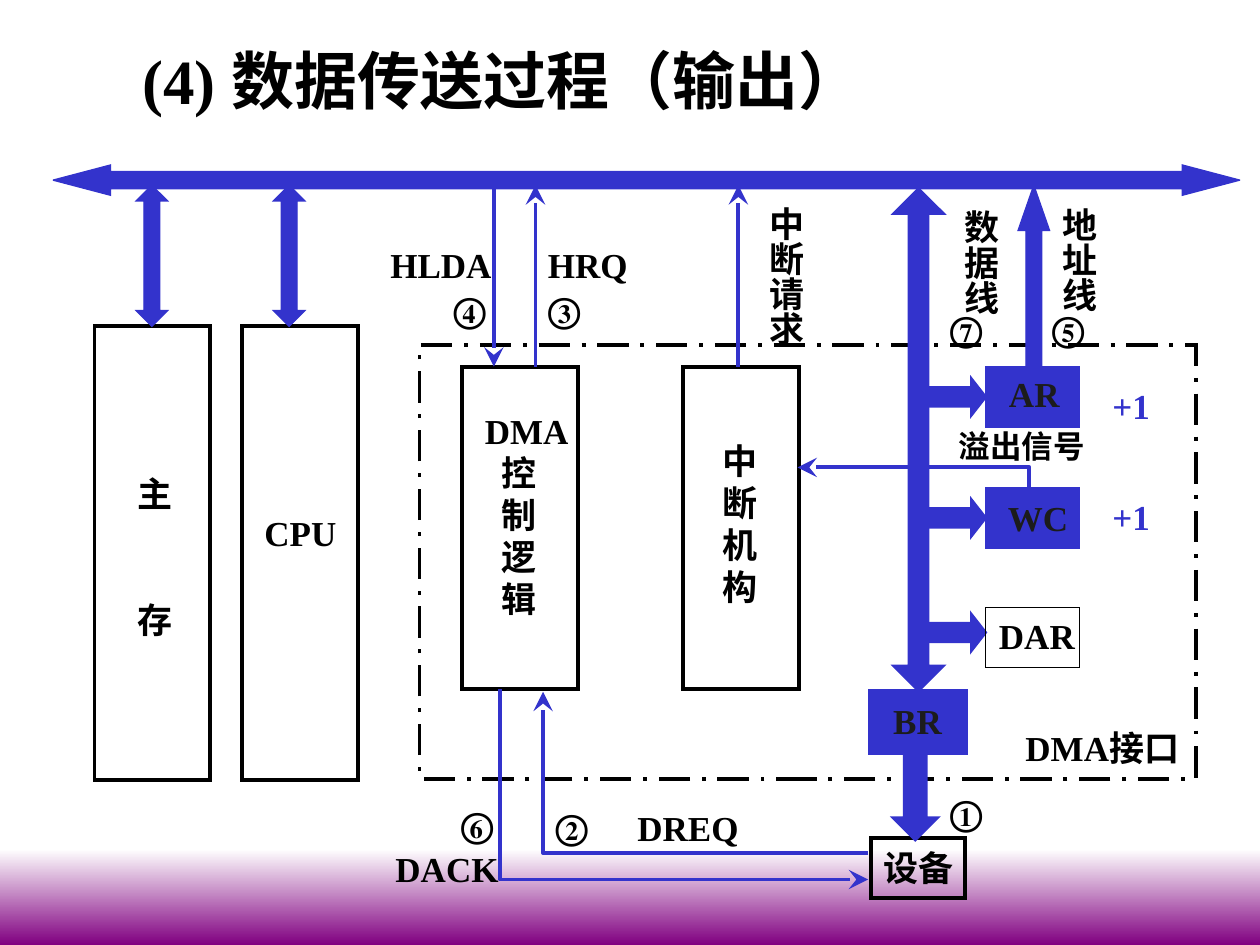
from lxml import etree
from pptx import Presentation
from pptx.dml.color import RGBColor
from pptx.enum.dml import MSO_LINE
from pptx.enum.shapes import MSO_CONNECTOR, MSO_SHAPE
from pptx.enum.text import MSO_AUTO_SIZE
from pptx.oxml.ns import qn
from pptx.util import Inches, Pt

RECT = MSO_SHAPE.RECTANGLE
RIGHT = MSO_SHAPE.RIGHT_ARROW
UP = MSO_SHAPE.UP_ARROW
DOWN = MSO_SHAPE.DOWN_ARROW
WIDE = MSO_SHAPE.LEFT_RIGHT_ARROW
TALL = MSO_SHAPE.UP_DOWN_ARROW
STRAIGHT = MSO_CONNECTOR.STRAIGHT
DASH = MSO_LINE.LONG_DASH_DOT
FIXED = MSO_AUTO_SIZE.NONE

FONT = "Times New Roman"
BLACK, BLUE, DARK = "000000", "3333CC", "1C1C1C"
WHITE, PURPLE = "FFFFFF", "800080"


def rgb(value):
    return RGBColor.from_string(value)


def text(slide, x, y, w, h, words, size=20, color=BLACK,
         stacked=False, indent=0, gap=0):
    box = slide.shapes.add_textbox(Inches(x), Inches(y), Inches(w), Inches(h))
    frame = box.text_frame
    frame.word_wrap = True
    frame.auto_size = FIXED
    frame.margin_left = Inches(0.05 if stacked else 0.1)
    frame.margin_right = Inches(0.05 if stacked else 0)
    frame.margin_top = Inches(0.05)
    frame.margin_bottom = Inches(0)
    if stacked:
        frame._txBody.bodyPr.set("vert", "eaVert")
    frame.text = words
    for i, para in enumerate(frame.paragraphs):
        if indent and not para.text.isascii():
            para._p.get_or_add_pPr().set("marL", str(Inches(indent)))
        if gap and i:
            para.space_before = Pt(gap)
        for run in para.runs:
            run.font.name = FONT
            run.font.size = Pt(size)
            run.font.bold = True
            run.font.color.rgb = rgb(color)


def shape(slide, kind, x, y, w, h, fill=None, line=BLACK, width=2.25, adjust=()):
    item = slide.shapes.add_shape(kind, Inches(x), Inches(y), Inches(w), Inches(h))
    item.shadow.inherit = False
    if fill:
        item.fill.solid()
        item.fill.fore_color.rgb = rgb(fill)
    else:
        item.fill.background()
    item.line.color.rgb = rgb(line)
    item.line.width = Pt(width)
    etree.SubElement(item.line._get_or_add_ln(), qn("a:miter"), lim="800000")
    for i, value in enumerate(adjust):
        item.adjustments[i] = value
    return item


def arrow(slide, kind, x, y, w, h, adjust=(), width=0.75):
    shape(slide, kind, x, y, w, h, BLUE, BLUE, width, adjust)


def tip(item):
    item.line.color.rgb = rgb(BLUE)
    item.line.width = Pt(2.25)
    etree.SubElement(item.line._get_or_add_ln(), qn("a:tailEnd"),
                     type="stealth", w="lg", len="lg")


def link(slide, x, start, end):
    item = slide.shapes.add_connector(
        STRAIGHT, Inches(x), Inches(start), Inches(x), Inches(end))
    tip(item)
    etree.SubElement(item._element.spPr, qn("a:effectLst"))


def bend(slide, *points):
    spots = [(Inches(x), Inches(y)) for x, y in points]
    path = slide.shapes.build_freeform(*spots[0])
    path.add_line_segments(spots[1:], close=False)
    item = path.convert_to_shape()
    item.shadow.inherit = False
    item.fill.background()
    tip(item)


def mark(slide, x, y, sign):
    text(slide, x, y, 0.48, 0.44, sign)


def band(slide, x, y, w, h):
    item = shape(slide, RECT, x, y, w, h)
    item.line.fill.background()
    item.fill.gradient()
    item.fill.gradient_angle = 270
    for stop, color in zip(item.fill.gradient_stops, (WHITE, PURPLE)):
        stop.color.rgb = rgb(color)


def block(slide, x, y, w, h, arm, label, left, top, wide, tall, gap=0):
    shape(slide, RECT, x, y, w, h)
    arrow(slide, TALL, x + arm, y - 1.12, 0.25, 1.12, (0.892, 0.5))
    text(slide, x + left, y + top, wide, tall, label, gap=gap)


def dma(slide, x, y, w, h):
    shape(slide, RECT, x, y, w, h).line.dash_style = DASH
    text(slide, x + 4.71, y + 2.98, 1.49, 0.44, "DMA接口")
    for left in (0.34, 2.09):
        shape(slide, RECT, x + left, y + 0.17, 0.92, 2.56)
    text(slide, x + 0.42, y + 0.46, 0.86, 1.77,
         "DMA\n控\n制\n逻\n辑", indent=0.13)
    text(slide, x + 2.18, y + 0.7, 0.6, 1.44, "中\n断\n机\n构", indent=0.13)

    arrow(slide, TALL, x + 3.75, y - 1.25, 0.42, 4, (0.696, 0.383))
    regs = (
        ("AR", 0.17, 0.25, 4.58, 0.17, 0.6, True),
        ("WC", 1.13, 1.21, 4.57, 1.15, 0.68, True),
        ("DAR", 2.08, 2.12, 4.5, 2.09, 0.8, False),
    )
    for name, top, feed, left, base, wide, full in regs:
        arrow(slide, RIGHT, x + 4, y + feed, 0.5, 0.32, (0.5, 0.391))
        shape(slide, RECT, x + 4.49, y + top, 0.75, 0.48,
              BLUE if full else None, BLUE if full else BLACK, 0.75)
        text(slide, x + left, y + base, wide, 0.44, name,
             color=DARK if full else BLACK)
    for top in (0.26, 1.14):
        text(slide, x + 5.4, y + top, 0.5, 0.44, "+1", color=BLUE)

    bend(slide, (x + 4.84, y + 1.13), (x + 4.84, y + 0.97), (x + 3, y + 0.97))
    text(slide, x + 4.18, y + 0.6, 1.2, 0.4, "溢出信号", size=18)
    shape(slide, RECT, x + 3.58, y + 2.75, 0.75, 0.48, BLUE, BLUE, 3)
    text(slide, x + 3.66, y + 2.76, 0.58, 0.44, "BR", color=DARK)


def signals(slide, x, y, w, h):
    link(slide, x + 0.92, y, y + h)
    for left in (1.25, 2.86):
        link(slide, x + left, y + h, y)
    arrow(slide, UP, x + 5.08, y, 0.25, h, (0.5, 1.439))
    text(slide, x, y + 0.41, 1, 0.44, "HLDA")
    text(slide, x + 1.25, y + 0.41, 0.83, 0.44, "HRQ")
    for words, left, top, tall in (("中断请求", 2.92, 0.07, 1.22),
                                   ("数据线", 4.47, 0.1, 0.94),
                                   ("地址线", 5.25, 0.08, 0.94)):
        text(slide, x + left, y + top, 0.53, tall, words, stacked=True)
    for sign, left, top in (("④", 0.5, 0.77), ("③", 1.25, 0.77),
                            ("⑦", 4.44, 0.92), ("⑤", 5.25, 0.92)):
        mark(slide, x + left, y + top, sign)


def device(slide, x, y, w, h):
    shape(slide, RECT, x + 3.87, y + 1.18, 0.75, 0.48)
    text(slide, x + 3.87, y + 1.2, 0.75, 0.44, "设备")
    arrow(slide, DOWN, x + 4.06, y + 0.52, 0.33, 0.67, (0.5, 0.5), 2.25)
    bend(slide, (x + 3.85, y + 1.3), (x + 1.27, y + 1.3), (x + 1.27, y + 0.02))
    bend(slide, (x + 0.93, y), (x + 0.93, y + 1.51), (x + 3.85, y + 1.51))
    text(slide, x + 1.92, y + 0.88, 1, 0.44, "DREQ")
    text(slide, x, y + 1.21, 1.02, 0.44, "DACK")
    for sign, left, top in (("⑥", 0.52, 0.86), ("②", 1.27, 0.87),
                            ("①", 4.4, 0.76)):
        mark(slide, x + left, y + top, sign)


def main():
    deck = Presentation()
    deck.slide_width, deck.slide_height = Inches(10), Inches(7.5)
    slide = deck.slides.add_slide(deck.slide_layouts[6])
    band(slide, 0, 6.74, 10, 0.76)
    text(slide, 1.03, 0.28, 6.25, 0.7, "(4) 数据传送过程（输出）", size=36)
    arrow(slide, WIDE, 0.42, 1.31, 9.42, 0.24, (0.568, 1.9))
    block(slide, 0.75, 2.59, 0.92, 3.6, 0.33, "主\n存",
          0.24, 1.11, 0.48, 1.44, gap=48)
    block(slide, 1.92, 2.59, 0.92, 3.6, 0.25, "CPU", 0.08, 1.42, 0.77, 0.44)
    dma(slide, 3.33, 2.74, 6.16, 3.44)
    signals(slide, 3, 1.47, 5.78, 1.44)
    device(slide, 3.04, 5.47, 4.62, 1.66)
    deck.save("out.pptx")


if __name__ == "__main__":
    main()
